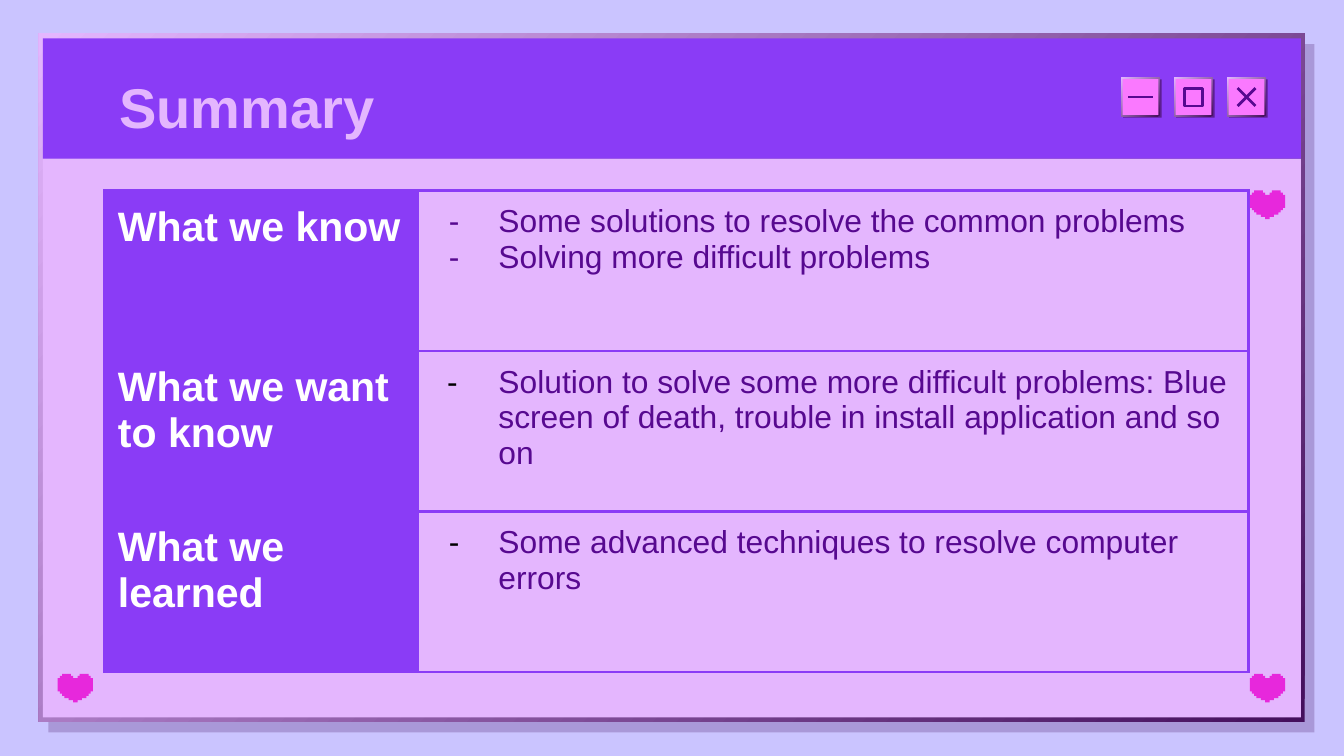
from lxml.etree import SubElement
from pptx import Presentation
from pptx.dml.color import RGBColor
from pptx.enum.shapes import MSO_CONNECTOR, MSO_SHAPE
from pptx.enum.text import MSO_ANCHOR
from pptx.oxml import parse_xml
from pptx.oxml.ns import nsdecls, qn
from pptx.util import Pt

SKY, PINK, VIOLET, DARK = "CAC4FF", "E4B6FE", "8A3CF6", "440F5C"
INK, ROSE, HEART, WHITE, BLACK = "570990", "FA79FF", "E728DC", "FFFFFF", "000000"

TITLE = "Summary"
ROWS = [
    ("What we know", INK, 26.6,
     ["Some solutions to resolve the common problems",
      "Solving more difficult problems"]),
    ("What we want to know", BLACK, 27.4,
     ["Solution to solve some more difficult problems: Blue screen of death, "
      "trouble in install application and so on"]),
    ("What we learned", BLACK, 26.6,
     ["Some advanced techniques to resolve computer errors"]),
]
COLS = [167.8, 445]
ROW = 86
LEFT, TOP = 56, 102
HEARTS = [(40.4, 361), (679, 361), (679, 102)]
HALF = [(1, 2), (1, 1), (2, 1), (2, 0), (6, 0), (6, 1), (7, 1), (7, 2),
        (8, 2), (8, 8), (7, 8), (7, 9), (6, 9), (6, 10), (5, 10), (5, 11),
        (3, 11), (3, 12), (1, 12), (1, 13)]
UNIT = 1.18
ICONS = ["minus", "square", "cross"]

deck = Presentation()
deck.slide_width, deck.slide_height = Pt(720), Pt(405)
slide = deck.slides.add_slide(deck.slide_layouts[6])
shapes = slide.shapes


def rgb(code):
    return RGBColor.from_string(code)


def paint(fill, code):
    fill.solid()
    fill.fore_color.rgb = rgb(code)


def box(x, y, w, h, code=None, alpha=None):
    item = shapes.add_shape(MSO_SHAPE.RECTANGLE, Pt(x), Pt(y), Pt(w), Pt(h))
    item.shadow.inherit = False
    item.line.fill.background()
    if code:
        paint(item.fill, code)
    else:
        item.fill.background()
    if alpha:
        tint = item.fill._xPr.find(qn("a:solidFill"))[0]
        SubElement(tint, qn("a:alpha")).set("val", str(alpha * 1000))
    return item


def bevel(x, y, w, h):
    fill = box(x, y, w, h, PINK).fill
    fill.gradient()
    fill.gradient_angle = 135
    for stop, code in zip(fill.gradient_stops, (DARK, PINK)):
        stop.color.rgb = rgb(code)


def stroke(x1, y1, x2, y2):
    line = shapes.add_connector(MSO_CONNECTOR.STRAIGHT, Pt(x1), Pt(y1), Pt(x2), Pt(y2))
    line.line.color.rgb = rgb(INK)
    line.line.width = Pt(1.5)
    SubElement(line._element.spPr, qn("a:effectLst"))


def icon(kind, x, y):
    if kind == "minus":
        stroke(x - 6.5, y, x + 6.5, y)
    elif kind == "square":
        edge = box(x - 4.8, y - 4.8, 9.6, 9.6).line
        edge.color.rgb = rgb(INK)
        edge.width = Pt(1.5)
    else:
        stroke(x + 4.8, y - 4.8, x - 4.8, y + 4.8)
        stroke(x + 4.8, y + 4.8, x - 4.8, y - 4.8)


def heart(x, y):
    ring = [(-a, b) for a, b in HALF] + HALF[::-1]
    dots = [(Pt(x + a * UNIT), Pt(y + b * UNIT)) for a, b in ring]
    pen = shapes.build_freeform(*dots[0])
    pen.add_line_segments(dots[1:])
    item = pen.convert_to_shape()
    item.shadow.inherit = False
    paint(item.fill, HEART)
    item.line.fill.background()


def write(para, text, size, code, bold=False):
    run = para.add_run()
    run.text = text
    font = run.font
    font.name, font.size, font.bold = "Arial", Pt(size), bold
    font.color.rgb = rgb(code)


def bullet(para, code, hang):
    props = para._p.get_or_add_pPr()
    props.set("marL", str(Pt(36)))
    props.set("indent", str(Pt(-hang)))
    tint = SubElement(props, qn("a:buClr"))
    SubElement(tint, qn("a:srgbClr")).set("val", code)
    SubElement(props, qn("a:buFont")).set("typeface", "Arial")
    SubElement(props, qn("a:buChar")).set("char", "-")


def style(cell, code=None):
    cell.margin_left = cell.margin_right = Pt(7.2)
    cell.margin_top = cell.margin_bottom = Pt(7.2)
    cell.vertical_anchor = MSO_ANCHOR.TOP
    if code:
        paint(cell.fill, code)
    else:
        cell.fill.background()
    props = cell._tc.get_or_add_tcPr()
    for spot, side in enumerate("LRTB"):
        props.insert(spot, parse_xml(
            f'<a:ln{side} {nsdecls("a")} w="{Pt(1.5)}"><a:solidFill>'
            f'<a:srgbClr val="{VIOLET}"/></a:solidFill></a:ln{side}>'))


paint(slide.background.fill, SKY)
box(25.9, 23.6, 678.2, 368.8, DARK, 24)
bevel(20.7, 18, 678.2, 368.8)
box(23, 85, 673.9, 299.4, PINK)
box(23, 20.6, 673.9, 64.4, VIOLET)

for spot, kind in enumerate(ICONS):
    x, y = 600.6 + 28.4 * spot, 41.6
    box(x + 1.1, y + 0.9, 20.6, 20.6, DARK, 65)
    bevel(x, y, 20.6, 20.6)
    box(x + 0.8, y + 0.8, 19.2, 19.2, ROSE)
    icon(kind, x + 10.4, y + 10.4)

frame = shapes.add_textbox(Pt(56.9), Pt(28.8), Pt(432), Pt(45.4)).text_frame
frame.word_wrap = True
frame.margin_left = frame.margin_right = frame.margin_bottom = Pt(7.2)
frame.margin_top = Pt(10)
write(frame.paragraphs[0], TITLE, 30, PINK, True)

grid = shapes.add_table(len(ROWS), 2, Pt(LEFT), Pt(TOP),
                        Pt(sum(COLS)), Pt(ROW * len(ROWS))).table
grid.first_row = grid.horz_banding = False
for col, width in zip(grid.columns, COLS):
    col.width = Pt(width)
for spot, (head, code, hang, notes) in enumerate(ROWS):
    grid.rows[spot].height = Pt(ROW)
    name, body = grid.cell(spot, 0), grid.cell(spot, 1)
    style(name, VIOLET)
    style(body)
    write(name.text_frame.paragraphs[0], head, 22, WHITE, True)
    for turn, note in enumerate(notes):
        text = body.text_frame
        para = text.add_paragraph() if turn else text.paragraphs[0]
        bullet(para, code, hang)
        write(para, note, 17, INK)

for x, y in HEARTS:
    heart(x, y)

deck.save("out.pptx")
